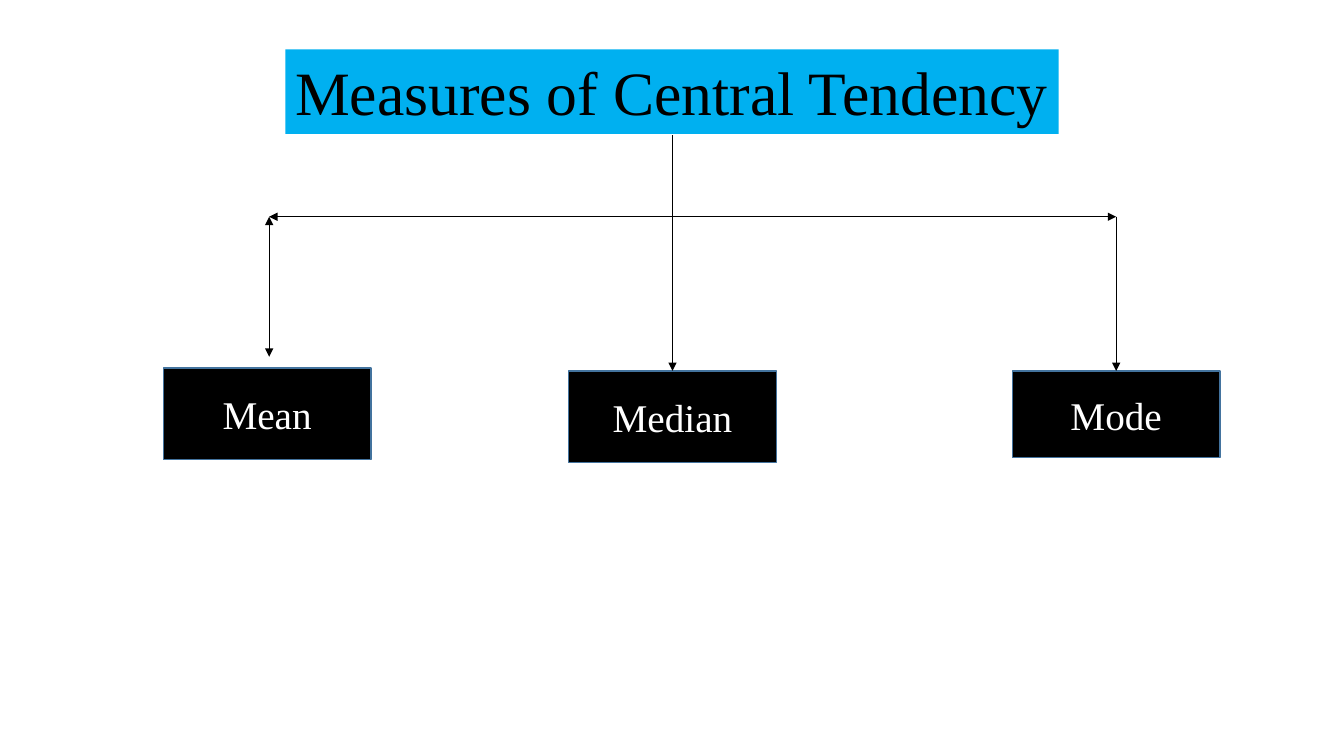
from lxml import etree
from pptx import Presentation
from pptx import util as u
from pptx.dml.color import RGBColor
from pptx.enum import shapes, text
from pptx.oxml.ns import qn

BLACK = RGBColor(0x00, 0x00, 0x00)
WHITE = RGBColor(0xFF, 0xFF, 0xFF)
SKY = RGBColor(0x00, 0xB0, 0xF0)
STEEL = RGBColor(0x43, 0x73, 0x9E)
FONT = "Times New Roman"

presentation = Presentation()
presentation.slide_width = u.Inches(13.33)
presentation.slide_height = u.Inches(7.5)


def across(percent):
    """Turn a percentage of the slide's width into a length."""
    return round(presentation.slide_width * percent / 100)


def down(percent):
    """Turn a percentage of the slide's height into a length."""
    return round(presentation.slide_height * percent / 100)


def add_box(slide, box, label, fill, color, size):
    """Add a filled rectangle with one line of text; box is in percent."""
    left, top, width, height = box
    shape = slide.shapes.add_shape(
        shapes.MSO_SHAPE.RECTANGLE,
        across(left), down(top), across(width), down(height))
    shape.shadow.inherit = False
    shape.fill.solid()
    shape.fill.fore_color.rgb = fill
    shape.line.fill.background()
    paragraph = shape.text_frame.paragraphs[0]
    paragraph.text = label
    paragraph.font.name = FONT
    paragraph.font.size = u.Pt(size)
    paragraph.font.color.rgb = color
    return shape


def add_title(slide, box):
    """Add the title band, sized to its text."""
    shape = add_box(slide, box, "Measures of Central Tendency", SKY, BLACK, 44)
    frame = shape.text_frame
    frame.word_wrap = False
    frame.auto_size = text.MSO_AUTO_SIZE.SHAPE_TO_FIT_TEXT
    frame.vertical_anchor = text.MSO_ANCHOR.TOP
    frame.paragraphs[0].alignment = text.PP_ALIGN.LEFT


def add_measure(slide, box, label):
    """Add one outlined box that names a measure."""
    shape = add_box(slide, box, label, BLACK, WHITE, 28)
    shape.line.color.rgb = STEEL
    shape.line.width = u.Pt(1)
    shape.text_frame.vertical_anchor = text.MSO_ANCHOR.MIDDLE
    shape.text_frame.paragraphs[0].alignment = text.PP_ALIGN.CENTER


def add_arrow(slide, start, end, ends=("tailEnd",)):
    """Add a thin arrow between two points in percent."""
    connector = slide.shapes.add_connector(
        shapes.MSO_CONNECTOR.STRAIGHT,
        across(start[0]), down(start[1]), across(end[0]), down(end[1]))
    connector.line.color.rgb = BLACK
    connector.line.width = u.Pt(0.5)
    line = connector.line._get_or_add_ln()
    for name in ends:
        etree.SubElement(line, qn(f"a:{name}"), type="triangle")
    etree.SubElement(connector._element.spPr, qn("a:effectLst"))


def add_branches(slide, top, bar, mean, median, mode):
    """Join the title's bottom edge to the arrow tips above the measures."""
    both = ("headEnd", "tailEnd")
    left_corner, right_corner = (mean[0], bar), (mode[0], bar)
    add_arrow(slide, mean, left_corner, both)
    add_arrow(slide, left_corner, right_corner, both)
    add_arrow(slide, right_corner, mode)
    add_arrow(slide, (median[0], top), median)


def build_tree_slide():
    """Build the slide: a title that branches into three measures."""
    slide = presentation.slides.add_slide(presentation.slide_layouts[6])
    add_title(slide, (21.23, 6.53, 57.54, 11.2))
    width = 15.45
    for label, left, top, height in (("Mean", 12.15, 48.67, 12.13),
                                     ("Median", 42.31, 49.07, 12.13),
                                     ("Mode", 75.32, 49.07, 11.47)):
        add_measure(slide, (left, top, width, height), label)
    add_branches(slide, top=17.87, bar=28.67, mean=(20.03, 47.2),
                 median=(50.04, 49.07), mode=(83.05, 49.07))


build_tree_slide()
presentation.save("out.pptx")
